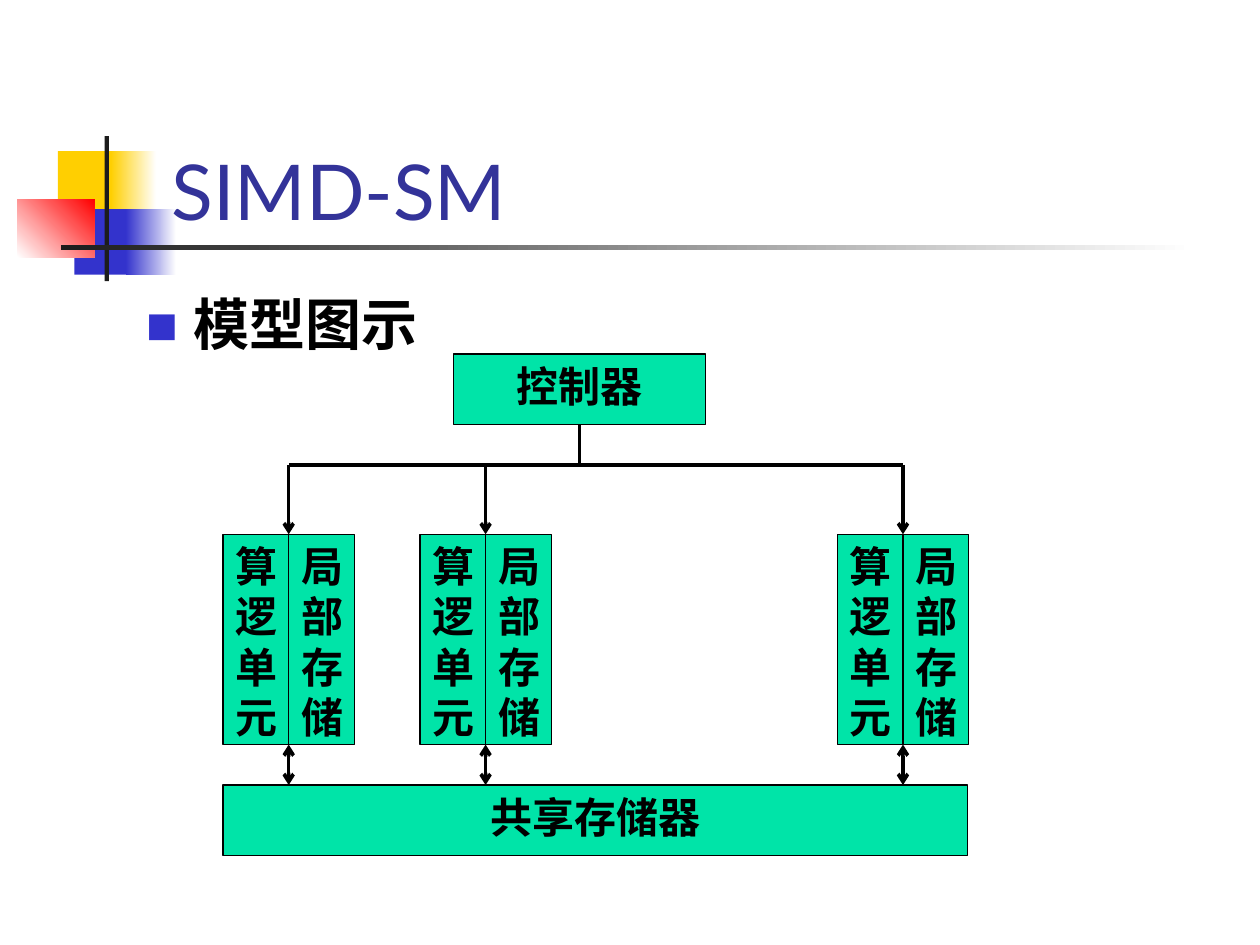
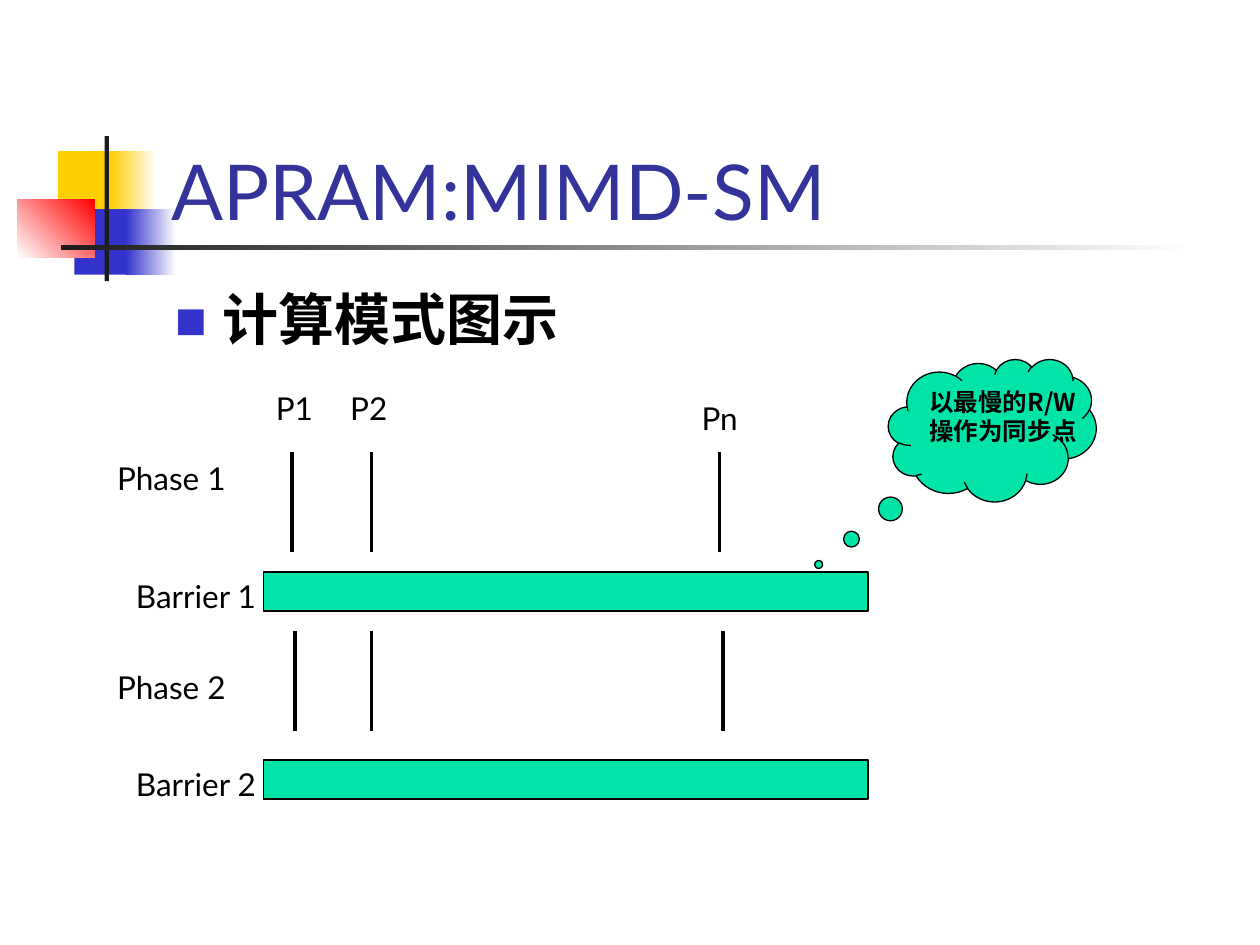
from typing import NamedTuple

from lxml.etree import SubElement
from pptx import Presentation
from pptx.dml.color import RGBColor
from pptx.enum.shapes import MSO_CONNECTOR as Link, MSO_SHAPE as Kind
from pptx.enum.text import MSO_ANCHOR as Anchor, MSO_AUTO_SIZE as Fit, PP_ALIGN as Align
from pptx.oxml.ns import qn
from pptx.util import Pt

LATIN = "Lato"
HAN = "Noto Sans CJK SC"
BLACK = "000000"
WHITE = "FFFFFF"
GREEN = "00E4A8"
GOLD = "FFCF01"
BLUE = "3333CC"
NAVY = "333399"
RED = "FF0000"
DARK = "1C1C1C"


class Area(NamedTuple):
    left: float
    top: float
    width: float
    height: float


class Band(NamedTuple):
    area: Area
    first: str
    last: str = ""
    angle: float = 0


class Label(NamedTuple):
    text: str
    area: Area


BANDS = [
    Band(Area(33.1, 86.4, 34.6, 37.4), GOLD),
    Band(Area(63.4, 86.4, 25.9, 37.4), GOLD, WHITE),
    Band(Area(42.5, 119.5, 33.1, 37.4), BLUE),
    Band(Area(72, 119.5, 28.8, 37.4), BLUE, WHITE),
    Band(Area(10, 113.8, 44, 33.1), WHITE, RED, 45),
    Band(Area(59.8, 77.8, 2.5, 82.8), DARK),
    Band(Area(34.6, 140.2, 648, 2.5), DARK, WHITE),
]
TITLE = Area(90.7, 48.2, 613.4, 90)


def paint(color, code: str) -> None:
    color.rgb = RGBColor.from_string(code)


def fill(shape, code: str) -> None:
    shape.shadow.inherit = False
    shape.fill.solid()
    paint(shape.fill.fore_color, code)


def place(shape, area: Area) -> None:
    shape.left, shape.top, shape.width, shape.height = map(Pt, area)


def style(frame, size: float, face: str = LATIN, code: str = BLACK,
          bold: bool = False, align=Align.LEFT) -> None:
    for par in frame.paragraphs:
        par.alignment = align
        par.space_before = Pt(0)
        for run in par.runs:
            font = run.font
            font.size, font.name, font.bold = Pt(size), face, bold
            paint(font.color, code)
            SubElement(font._element, qn("a:ea"), typeface=LATIN)


def add_band(slide, band: Band):
    shape = slide.shapes.add_shape(Kind.RECTANGLE, *map(Pt, band.area))
    fill(shape, band.first)
    shape.line.fill.background()
    if band.last:
        shape.fill.gradient()
        shape.fill.gradient_angle = band.angle
        for stop, code in zip(shape.fill.gradient_stops, (band.first, band.last)):
            paint(stop.color, code)
    return shape


def add_box(slide, area: Area, text: str = "", size: float = 24,
            align=Align.LEFT, kind=Kind.RECTANGLE):
    shape = slide.shapes.add_shape(kind, *map(Pt, area))
    fill(shape, GREEN)
    paint(shape.line.color, BLACK)
    shape.line.width = Pt(0.75)
    if text:
        frame = shape.text_frame
        frame.text = text
        frame.word_wrap = False
        frame.vertical_anchor = Anchor.TOP
        style(frame, size, HAN, bold=True, align=align)
    return shape


def add_line(slide, x1: float, y1: float, x2: float, y2: float, *ends: str):
    line = slide.shapes.add_connector(Link.STRAIGHT, *map(Pt, (x1, y1, x2, y2)))
    paint(line.line.color, BLACK)
    line.line.width = Pt(2)
    stroke = line.line._get_or_add_ln()
    for end in ends:
        SubElement(stroke, qn(f"a:{end}"), type="arrow")
    SubElement(line._element.spPr, qn("a:effectLst"))
    return line


def add_label(slide, label: Label) -> None:
    frame = slide.shapes.add_textbox(*map(Pt, label.area)).text_frame
    frame.word_wrap = True
    frame.text = label.text
    style(frame, 18)


def add_slide(deck, title: str, point: str, area: Area):
    slide = deck.slides.add_slide(deck.slide_layouts[1])
    head, body = slide.placeholders
    place(head, TITLE)
    head.text_frame.text = title
    head.text_frame.vertical_anchor = Anchor.BOTTOM
    style(head.text_frame, 44, code=NAVY)
    place(body, area)
    body.text_frame.text = point
    props = body.text_frame.paragraphs[0]._p.get_or_add_pPr()
    props.set("marL", str(Pt(27)))
    props.set("indent", str(Pt(-27)))
    tint = SubElement(props, qn("a:buClr"))
    SubElement(tint, qn("a:srgbClr"), val=BLUE)
    SubElement(props, qn("a:buSzPct"), val="60000")
    SubElement(props, qn("a:buFont"), typeface=LATIN)
    SubElement(props, qn("a:buChar"), char="■")
    style(body.text_frame, 32, bold=True)
    for shape in (head, body):
        shape.text_frame.auto_size = Fit.NONE
    return slide


def dress(deck, slide) -> None:
    tree = deck.slide_layouts[1].shapes.element
    for band in BANDS:
        tree.append(add_band(slide, band).element)


def draw_simd(slide) -> None:
    mids = (165, 277.5, 516)
    half, top, tall = 37.5, 305.3, 120.2
    base, bus = top + tall, 265.7
    store = 448.6
    ctrl = add_box(slide, Area(259.2, 202.3, 144, 40.2), "控制器", align=Align.CENTER)
    hub = 331.2
    for mid in mids:
        add_box(slide, Area(mid - half, top, half, tall), "算\n逻\n单\n元")
        add_box(slide, Area(mid, top, half, tall), "局\n部\n存\n储")
    add_line(slide, hub, 242.5, hub, bus).begin_connect(ctrl, 2)
    for mid in (mids[0], mids[-1]):
        add_line(slide, hub, bus, mid, bus)
    add_box(slide, Area(127.5, store, 425.5, 40.2), "共享存储器", align=Align.CENTER)
    for mid in mids:
        add_line(slide, mid, bus, mid, top, "tailEnd")
        add_line(slide, mid, base, mid, store, "headEnd", "tailEnd")


def draw_apram(slide) -> None:
    phases = ((258.5, (167, 212.4, 411.1)), (360.7, (168.5, 212.4, 413.3)))
    for top, lanes in phases:
        for lane in lanes:
            add_line(slide, lane, top, lane, top + 56.9)
    for top in (326.9, 434.2):
        add_box(slide, Area(150.5, top, 345.6, 22.3))
    labels = [
        Label("P1", Area(150.5, 218.9, 39.6, 28.8)),
        Label("P2", Area(193, 218.9, 39.6, 28.8)),
        Label("Pn", Area(393.8, 224.6, 39.6, 28.8)),
        Label("Phase 1", Area(59.8, 258.5, 90.7, 28.8)),
        Label("Phase 2", Area(59.8, 378, 90.7, 28.8)),
        Label("Barrier 1", Area(70.6, 326.2, 108, 28.8)),
        Label("Barrier 2", Area(70.6, 433.5, 108, 28.8)),
    ]
    for label in labels:
        add_label(slide, label)
    cloud = add_box(slide, Area(507.6, 205.2, 118.8, 81.4),
                    "以最慢的R/W\n操作为同步点", 14, kind=Kind.CLOUD_CALLOUT)
    cloud.adjustments[0] = -0.835
    cloud.adjustments[1] = 0.942


def main() -> None:
    deck = Presentation()
    deck.slide_width, deck.slide_height = Pt(720), Pt(540)
    simd = add_slide(deck, "SIMD-SM", "模型图示", Area(76.3, 162, 612, 324))
    dress(deck, simd)
    draw_simd(simd)
    apram = add_slide(deck, "APRAM:MIMD-SM", "计算模式图示", Area(92.9, 159.1, 612, 324))
    draw_apram(apram)
    deck.save("out.pptx")


if __name__ == "__main__":
    main()
